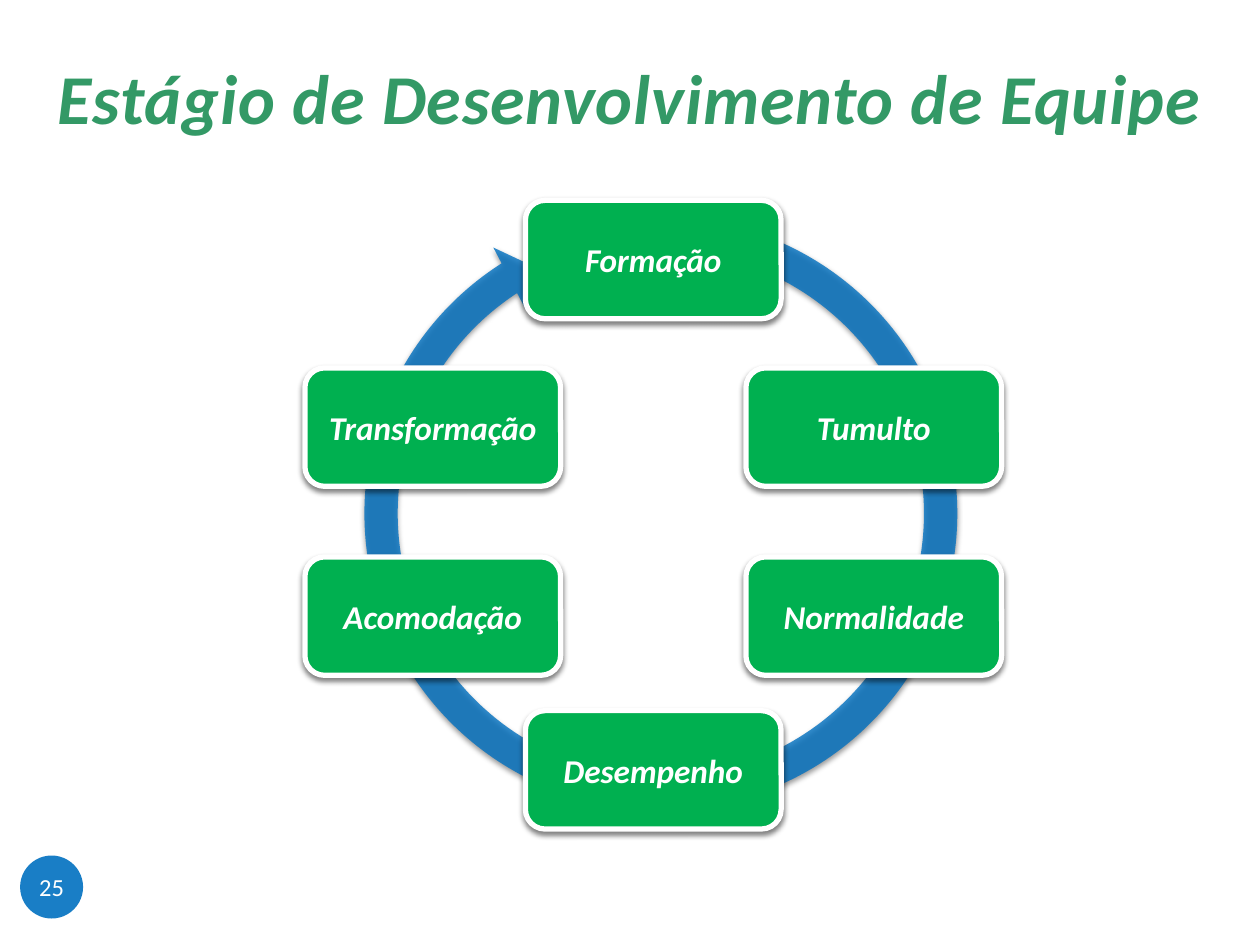
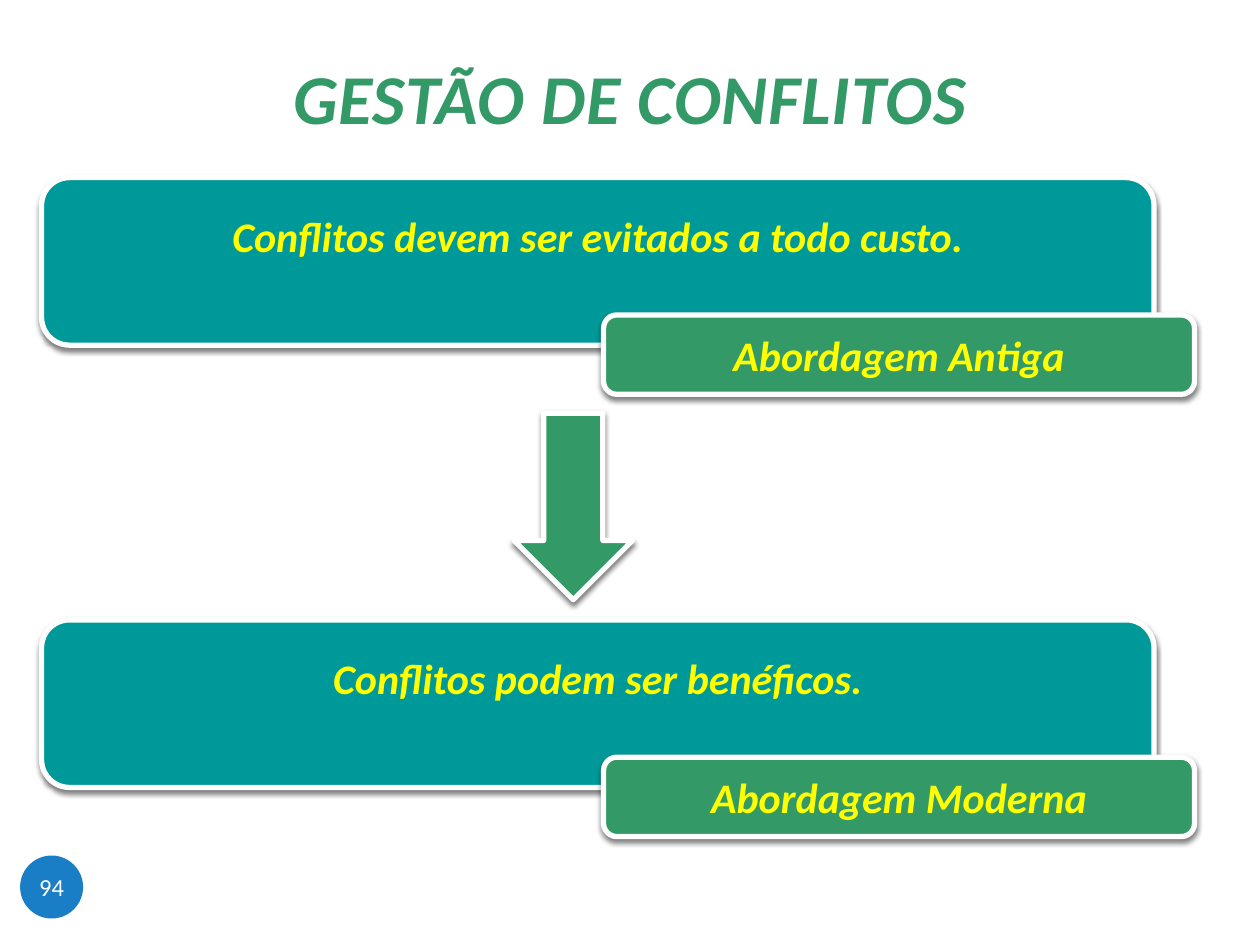
"""Build two slides on team development stages and conflict management."""
from lxml import etree
from pptx import Presentation
from pptx import util as u
from pptx.dml.color import RGBColor
from pptx.enum import shapes, text
from pptx.oxml import ns

SCALE = 9144
FONT = "Calibri"
WHITE, YELLOW = "FFFFFF", "FFFF00"
SEA, TEAL, GREEN, BLUE = "339966", "009999", "00B050", "0070C0"
SHAPE = shapes.MSO_SHAPE


def px(length):
    """Turn px into EMU."""
    return u.Emu(length * SCALE)


def colour(code):
    """Turn a hex string into a colour."""
    return RGBColor.from_string(code)


def add_element(parent, tag, **attributes):
    """Append a child element with the given attributes."""
    values = {name: str(value) for name, value in attributes.items()}
    return etree.SubElement(parent, ns.qn(tag), values)


class Slides:
    """Holds the deck, its style and the current slide."""

    def __init__(self):
        """Start an empty 10 by 7.5 inch deck."""
        self.deck = Presentation()
        self.deck.slide_width, self.deck.slide_height = px(1000), px(750)
        self.page = None

    def new_page(self, title, number):
        """Add a slide with its title and number badge."""
        self.page = self.deck.slides.add_slide(self.deck.slide_layouts[6])
        box = self.page.shapes.add_textbox(px(0), px(25), px(1000), px(108))
        span = self.label(box, title, 40, SEA, insets=(10, 5, 10, 10))
        span._r.get_or_add_rPr().set("spc", "50")
        badge = self.shape(SHAPE.OVAL, (16, 679, 50, 50), BLUE, opacity=90)
        self.label(badge, str(number), 14, WHITE, insets=(0, 0, 0, 0), strong=False, wrap=False)

    def label(self, box, words, size, ink, insets=(10, 5, 10, 5), strong=True, wrap=True):
        """Put one centred paragraph into a box and return its run."""
        frame = box.text_frame
        frame.word_wrap = wrap
        frame.vertical_anchor = text.MSO_ANCHOR.MIDDLE
        frame.margin_left, frame.margin_top, frame.margin_right, frame.margin_bottom = map(px, insets)
        para = frame.paragraphs[0]
        para.alignment = text.PP_ALIGN.CENTER
        span = para.add_run()
        span.text = words
        font = para.font
        font.name, font.size = FONT, u.Pt(size)
        font.bold = font.italic = strong
        font.color.rgb = colour(ink)
        return span

    def shape(self, kind, place, fill, opacity=100, adjustments=()):
        """Add a flat preset shape without outline."""
        shape = self.page.shapes.add_shape(kind, *map(px, place))
        for index, value in enumerate(adjustments):
            shape.adjustments[index] = value
        shape.fill.solid()
        shape.fill.fore_color.rgb = colour(fill)
        if opacity < 100:
            tint = shape.element.spPr.find(".//" + ns.qn("a:srgbClr"))
            add_element(tint, "a:alpha", val=opacity * 1000)
        shape.line.fill.background()
        shape.shadow.inherit = False
        return shape

    def drop_shadow(self, shape):
        """Give a shape a soft shadow below it."""
        effects = shape.element.spPr.find(ns.qn("a:effectLst"))
        shadow = add_element(effects, "a:outerShdw", blurRad=u.Pt(3), dist=u.Pt(2),
                             dir=5400000, rotWithShape=0)
        add_element(add_element(shadow, "a:srgbClr", val="000000"), "a:alpha", val=50000)

    def raised(self, kind, place, fill):
        """Add a shape with a white outline and a shadow."""
        shape = self.shape(kind, place, fill)
        shape.line.color.rgb = colour(WHITE)
        shape.line.width = u.Pt(3)
        self.drop_shadow(shape)
        return shape

    def panel(self, place, fill, words, size, ink, insets=(10, 5, 10, 5)):
        """Add a raised rounded panel with text."""
        self.label(self.raised(SHAPE.ROUNDED_RECTANGLE, place, fill), words, size, ink, insets)

    def cycle_ring(self, place):
        """Add the circular arrow behind the stages."""
        ring = self.shape(SHAPE.CIRCULAR_ARROW, place, BLUE, opacity=80,
                          adjustments=(0.053, 3.126, 142.331, 171.241, 0.055))
        self.drop_shadow(ring)


def team_stages(slides):
    """Build the cycle of team stages."""
    slides.new_page("Estágio de Desenvolvimento de Equipe", 25)
    slides.cycle_ring((275, 158, 499, 499))
    left, centre, right = (242 + 175 * column for column in range(3))
    stages = (
        ("Formação", centre, 159),
        ("Tumulto", right, 292),
        ("Normalidade", right, 442),
        ("Desempenho", centre, 564),
        ("Acomodação", left, 442),
        ("Transformação", left, 292),
    )
    for name, x, y in stages:
        slides.panel((x, y, 203, 94), GREEN, name, 19, WHITE, insets=(13, 13, 13, 13))


def conflict_views(slides):
    """Build the old and modern views of conflict."""
    slides.new_page("GESTÃO DE CONFLITOS", 94)
    views = (
        (141, "Conflitos devem ser evitados a todo custo.", "Abordagem Antiga"),
        (492, "Conflitos podem ser benéficos.", "Abordagem Moderna"),
    )
    for top, belief, approach in views:
        slides.panel((33, top, 883, 133), TEAL, belief, 24, YELLOW, insets=(10, 5, 10, 46))
        slides.panel((479, top + 109, 469, 63), SEA, approach, 24, YELLOW)
    slides.raised(SHAPE.DOWN_ARROW, (408, 328, 94, 148), SEA)


def main():
    """Build and save the deck."""
    slides = Slides()
    team_stages(slides)
    conflict_views(slides)
    slides.deck.save("out.pptx")


if __name__ == "__main__":
    main()
